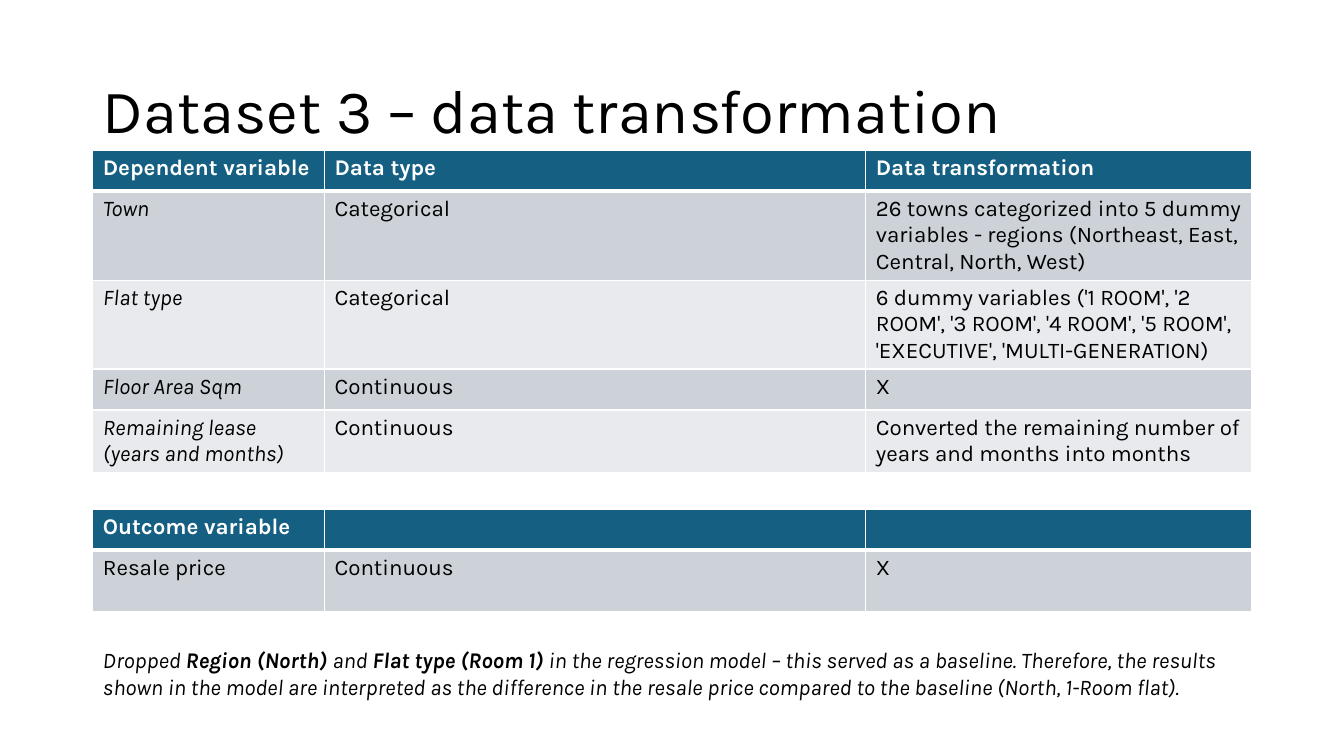
from lxml import etree
from pptx import Presentation
from pptx import util as u
from pptx.dml.color import RGBColor
from pptx.enum import text
from pptx.oxml.ns import qn

FONT = "Karla"
BLACK, WHITE = "000000", "FFFFFF"
HEADER, BANDS = "156082", ("CCD2D8", "E8EAED")

TITLE = "Dataset 3 – data transformation"
DEPENDENT = [
    ("Dependent variable", "Data type", "Data transformation"),
    ("Town", "Categorical",
     "26 towns categorized into 5 dummy variables - regions (Northeast, East, Central, North, West)"),
    ("Flat type", "Categorical",
     "6 dummy variables ('1 ROOM', '2 ROOM', '3 ROOM', '4 ROOM', '5 ROOM', "
     "'EXECUTIVE', 'MULTI-GENERATION)"),
    ("Floor Area Sqm", "Continuous", "X"),
    ("Remaining lease (years and months)", "Continuous",
     "Converted the remaining number of years and months into months"),
]
OUTCOME = [("Outcome variable", "", ""), ("Resale price", "Continuous", "X")]
NOTE = [
    ("Dropped ", False),
    ("Region (North) ", True),
    ("and ", False),
    ("Flat type (Room 1) ", True),
    ("in the regression model – this served as a baseline. Therefore, the results shown in the "
     "model are interpreted as the difference in the resale price compared to the baseline "
     "(North, 1-Room flat).", False),
]

LEFT = u.Cm(2.34)
COLUMNS = [u.Cm(w) for w in (5.84, 13.64, 9.73)]
WIDTH = sum(COLUMNS)


def rgb(color):
    return RGBColor.from_string(color)


def add_text(p, content, size=16, color=BLACK, bold=False, italic=False):
    r = p.add_run()
    r.text = content
    f = r.font
    f.name, f.size, f.bold, f.italic = FONT, u.Pt(size), bold, italic
    f.color.rgb = rgb(color)


def set_borders(cell, **widths):
    """Draw white cell edges; widths in points are keyed L, R, T and B."""
    tcPr = cell._tc.get_or_add_tcPr()
    for i, side in enumerate("LRTB"):
        ln = etree.Element(qn(f"a:ln{side}"), w=str(u.Pt(widths.get(side, 1))))
        fill = etree.SubElement(ln, qn("a:solidFill"))
        etree.SubElement(fill, qn("a:srgbClr"), val=WHITE)
        tcPr.insert(i, ln)


def add_variables(slide, rows, top, heights, italic_names=False):
    table = slide.shapes.add_table(len(rows), len(COLUMNS), LEFT, u.Cm(top),
                                   WIDTH, u.Cm(sum(heights))).table
    for column, width in zip(table.columns, COLUMNS):
        column.width = width
    for i, (values, height) in enumerate(zip(rows, heights)):
        table.rows[i].height = u.Cm(height)
        header = i == 0
        for j, value in enumerate(values):
            cell = table.cell(i, j)
            cell.fill.solid()
            cell.fill.fore_color.rgb = rgb(HEADER if header else BANDS[(i - 1) % 2])
            set_borders(cell, B=3 if header else 1, T=3 if i == 1 else 1)
            if value:
                add_text(cell.text_frame.paragraphs[0], value,
                         color=WHITE if header else BLACK, bold=header,
                         italic=italic_names and not header and j == 0)


prs = Presentation()
prs.slide_width, prs.slide_height = u.Cm(33.87), u.Cm(19.05)
slide = prs.slides.add_slide(prs.slide_layouts[5])

title = slide.shapes.title
title.left, title.top, title.width, title.height = LEFT, u.Cm(1.01), WIDTH, u.Cm(3.68)
tf = title.text_frame
tf.vertical_anchor = text.MSO_ANCHOR.MIDDLE
p = tf.paragraphs[0]
p.alignment, p.line_spacing = text.PP_ALIGN.LEFT, 0.9
add_text(p, TITLE, size=44)

add_variables(slide, DEPENDENT, 3.79, (1.03, 2.24, 2.24, 1.03, 1.56), italic_names=True)
add_variables(slide, OUTCOME, 12.83, (1.03, 1.56))

note = slide.shapes.add_textbox(LEFT, u.Cm(16.15), WIDTH, u.Cm(2.31))
tf = note.text_frame
tf.word_wrap = True
for content, bold in NOTE:
    add_text(tf.paragraphs[0], content, bold=bold, italic=True)

prs.save("out.pptx")
